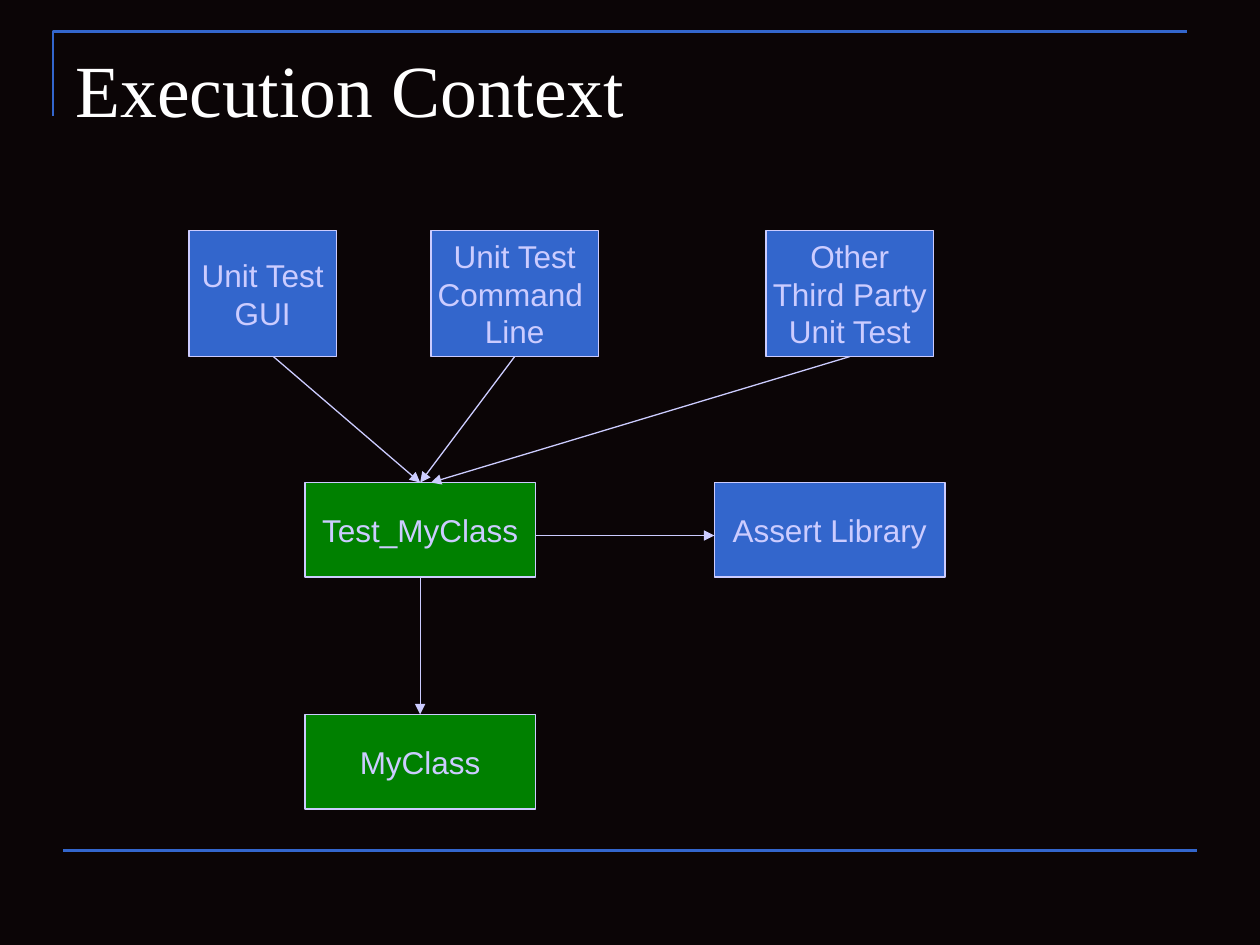
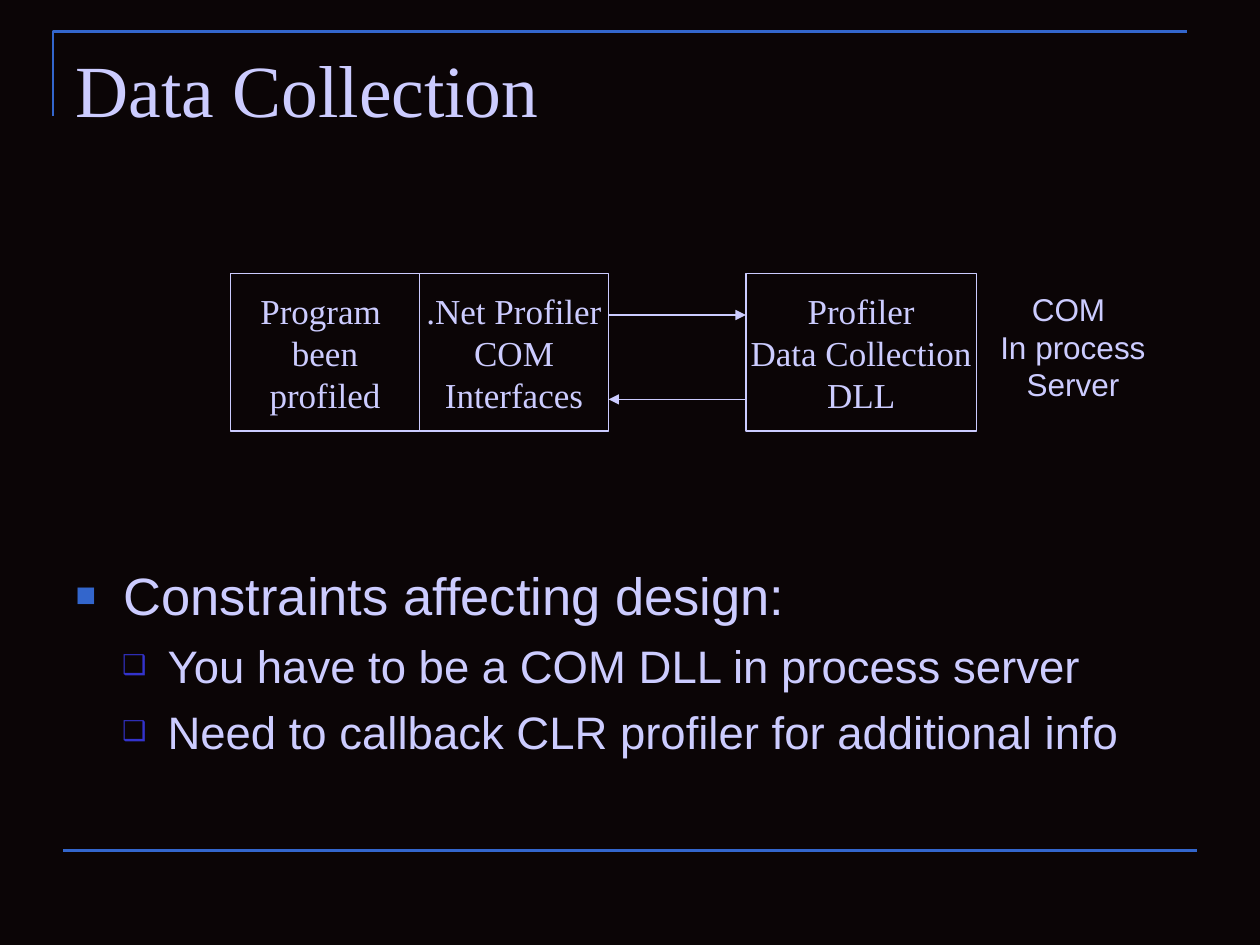
from lxml import etree
from pptx import Presentation
from pptx.dml.color import RGBColor
from pptx.enum.shapes import MSO_CONNECTOR, MSO_SHAPE
from pptx.enum.text import MSO_ANCHOR as ANCHOR, MSO_AUTO_SIZE as AUTO_SIZE, PP_ALIGN as ALIGN
from pptx.oxml.ns import qn
from pptx.util import Inches, Pt

COLORS = {
    "background": "0B0506",
    "blue": "3366CC",
    "indigo": "3333CC",
    "green": "008000",
    "lavender": "CCCCFF",
    "white": "FFFFFF",
}
SANS, SERIF = "Arial", "Times New Roman"
TITLE_ONLY, TITLE_AND_BODY = 5, 1
TOP, LEFT, BOTTOM, RIGHT = range(4)

LABEL = {"name": SANS, "size": Pt(18)}
SERIF_LABEL = {"name": SERIF, "size": Pt(20)}
TITLE = {"name": SERIF, "size": Pt(42)}
FRAME_FORMAT = {"word_wrap": False, "vertical_anchor": ANCHOR.MIDDLE}
PLACEHOLDER_FORMAT = {
    "word_wrap": True, "vertical_anchor": ANCHOR.TOP, "auto_size": AUTO_SIZE.NONE,
}
LEVELS = [
    {"font": {"name": SANS, "size": Pt(30)}, "before": 7.5, "left": 0.38, "hang": 0.38,
     "bullet": "■", "color": "blue", "percent": 65},
    {"font": {"name": SANS, "size": Pt(26)}, "before": 6.5, "left": 0.73, "hang": 0.36,
     "bullet": "❑", "color": "indigo", "percent": 60},
]


def rgb(name):
    return RGBColor.from_string(COLORS[name])


def apply(target, values):
    for attribute, value in values.items():
        setattr(target, attribute, value)


def box_of(*lengths):
    return [Inches(length) for length in lengths]


class Deck:
    def __init__(self):
        self.prs = Presentation()
        apply(self.prs, {"slide_width": Inches(10), "slide_height": Inches(7.5)})
        fill = self.prs.slide_master.background.fill
        fill.solid()
        fill.fore_color.rgb = rgb("background")
        self.slide = None

    def new_slide(self, layout, title, title_color):
        self.slide = self.prs.slides.add_slide(self.prs.slide_layouts[layout])
        self.frame()
        heading = self.place(self.slide.shapes.title, 0.5, 0.3, 9, 1.25)
        self.add_text(heading.paragraphs[0], title, TITLE, title_color, ALIGN.LEFT)

    def frame(self):
        """Draw the corner rule and the footer rule that every slide carries."""
        outline = self.slide.shapes.build_freeform(*box_of(0.42, 0.92))
        outline.add_line_segments([box_of(0.42, 0.25), box_of(9.42, 0.25)], close=False)
        corner = outline.convert_to_shape()
        corner.shadow.inherit = False
        corner.fill.background()
        self.stroke(corner, "blue", 1.5)
        self.line((0.5, 6.75), (9.5, 6.75), "blue", 1.5)

    def place(self, placeholder, left, top, width, height):
        bounds = box_of(left, top, width, height)
        apply(placeholder, dict(zip(("left", "top", "width", "height"), bounds)))
        apply(placeholder.text_frame, PLACEHOLDER_FORMAT)
        return placeholder.text_frame

    def stroke(self, shape, color, width):
        shape.line.color.rgb = rgb(color)
        shape.line.width = Pt(width)

    def add_text(self, paragraph, text, font, color="lavender", align=ALIGN.CENTER):
        paragraph.alignment = align
        run = paragraph.add_run()
        run.text = text
        apply(run.font, font)
        run.font.color.rgb = rgb(color)

    def add_lines(self, text_frame, lines, font):
        apply(text_frame, FRAME_FORMAT)
        for index, text in enumerate(lines):
            paragraph = text_frame.add_paragraph() if index else text_frame.paragraphs[0]
            self.add_text(paragraph, text, font)

    def box(self, lines, left, top, width, height, fill=None, font=LABEL):
        shape = self.slide.shapes.add_shape(
            MSO_SHAPE.RECTANGLE, *box_of(left, top, width, height))
        shape.shadow.inherit = False
        if fill:
            shape.fill.solid()
            shape.fill.fore_color.rgb = rgb(fill)
        else:
            shape.fill.background()
        self.stroke(shape, "lavender", 0.75)
        self.add_lines(shape.text_frame, lines, font)
        return shape

    def label(self, lines, left, top, width, height):
        note = self.slide.shapes.add_textbox(*box_of(left, top, width, height))
        self.add_lines(note.text_frame, lines, LABEL)

    def line(self, start, end, color="lavender", width=0.75):
        rule = self.slide.shapes.add_connector(
            MSO_CONNECTOR.STRAIGHT, *box_of(*start, *end))
        self.stroke(rule, color, width)
        etree.SubElement(rule._element.spPr, qn("a:effectLst"))
        return rule

    def arrow(self, start, end, source=None, target=None):
        """Draw an arrow; source and target are optional (shape, side) joints."""
        arrow = self.line(start, end)
        outline = arrow._element.spPr.find(qn("a:ln"))
        etree.SubElement(outline, qn("a:tailEnd"), type="triangle")
        if source:
            arrow.begin_connect(*source)
        if target:
            arrow.end_connect(*target)

    def bullets(self, items, left, top, width, height):
        body = self.place(self.slide.placeholders[1], left, top, width, height)
        for index, (level, text) in enumerate(items):
            paragraph = body.add_paragraph() if index else body.paragraphs[0]
            style = LEVELS[level]
            properties = paragraph._p.get_or_add_pPr()
            properties.set("marL", str(Inches(style["left"])))
            properties.set("indent", str(-Inches(style["hang"])))
            color = etree.SubElement(properties, qn("a:buClr"))
            etree.SubElement(color, qn("a:srgbClr"), val=COLORS[style["color"]])
            etree.SubElement(properties, qn("a:buSzPct"), val=str(style["percent"] * 1000))
            etree.SubElement(properties, qn("a:buFont"), typeface=SANS)
            etree.SubElement(properties, qn("a:buChar"), char=style["bullet"])
            paragraph.level = level
            paragraph.space_before = Pt(style["before"] if index else 0)
            self.add_text(paragraph, text, style["font"], align=ALIGN.LEFT)


def execution_context(deck):
    deck.new_slide(TITLE_ONLY, "Execution Context", "white")
    runner_top, runner_height = 1.83, 1
    runner_bottom = runner_top + runner_height
    test_top, test_left, class_size = 3.83, 2.42, (1.83, 0.75)
    test_middle = 3.33

    runners = [
        (["Unit Test", "GUI"], 1.5, 1.17),
        (["Unit Test", "Command ", "Line"], 3.42, 1.33),
        (["Other", "Third Party", "Unit Test"], 6.08, 1.33),
    ]
    _, command_line, third_party = [
        deck.box(lines, left, runner_top, width, runner_height, "blue")
        for lines, left, width in runners]
    test_class = deck.box(["Test_MyClass"], test_left, test_top, *class_size, "green")
    my_class = deck.box(["MyClass"], test_left, 5.67, *class_size, "green")
    deck.box(["Assert Library"], 5.67, test_top, *class_size, "blue")

    test_entry = (test_class, TOP)
    deck.arrow((2.17, runner_bottom), (test_middle, test_top), target=test_entry)
    deck.arrow((4.08, runner_bottom), (test_middle, test_top),
               (command_line, BOTTOM), test_entry)
    deck.arrow((6.75, runner_bottom), (3.42, test_top), (third_party, BOTTOM))
    deck.arrow((test_middle, 4.58), (test_middle, 5.67),
               (test_class, BOTTOM), (my_class, TOP))
    deck.arrow((4.25, 4.25), (5.67, 4.25))


def data_collection(deck):
    deck.new_slide(TITLE_AND_BODY, "Data Collection", "lavender")
    stages = [
        (["Program ", "been", "profiled"], 1.83, 1.5),
        ([".Net Profiler", "COM", "Interfaces"], 3.33, 1.5),
        (["Profiler", "Data Collection", "DLL"], 5.92, 1.83),
    ]
    for lines, left, width in stages:
        deck.box(lines, left, 2.17, width, 1.25, font=SERIF_LABEL)
    deck.label(["COM ", "In process", "Server"], 7.84, 2.25, 1.35, 1)

    interfaces_edge, dll_edge = 4.83, 5.92
    deck.arrow((interfaces_edge, 2.5), (dll_edge, 2.5))
    deck.arrow((dll_edge, 3.17), (interfaces_edge, 3.17))
    deck.bullets([
        (0, "Constraints affecting design:"),
        (1, "You have to be a COM DLL in process server"),
        (1, "Need to callback CLR profiler for additional info"),
    ], 0.5, 4.42, 9, 2.75)


def main():
    deck = Deck()
    execution_context(deck)
    data_collection(deck)
    deck.prs.save("out.pptx")


if __name__ == "__main__":
    main()
